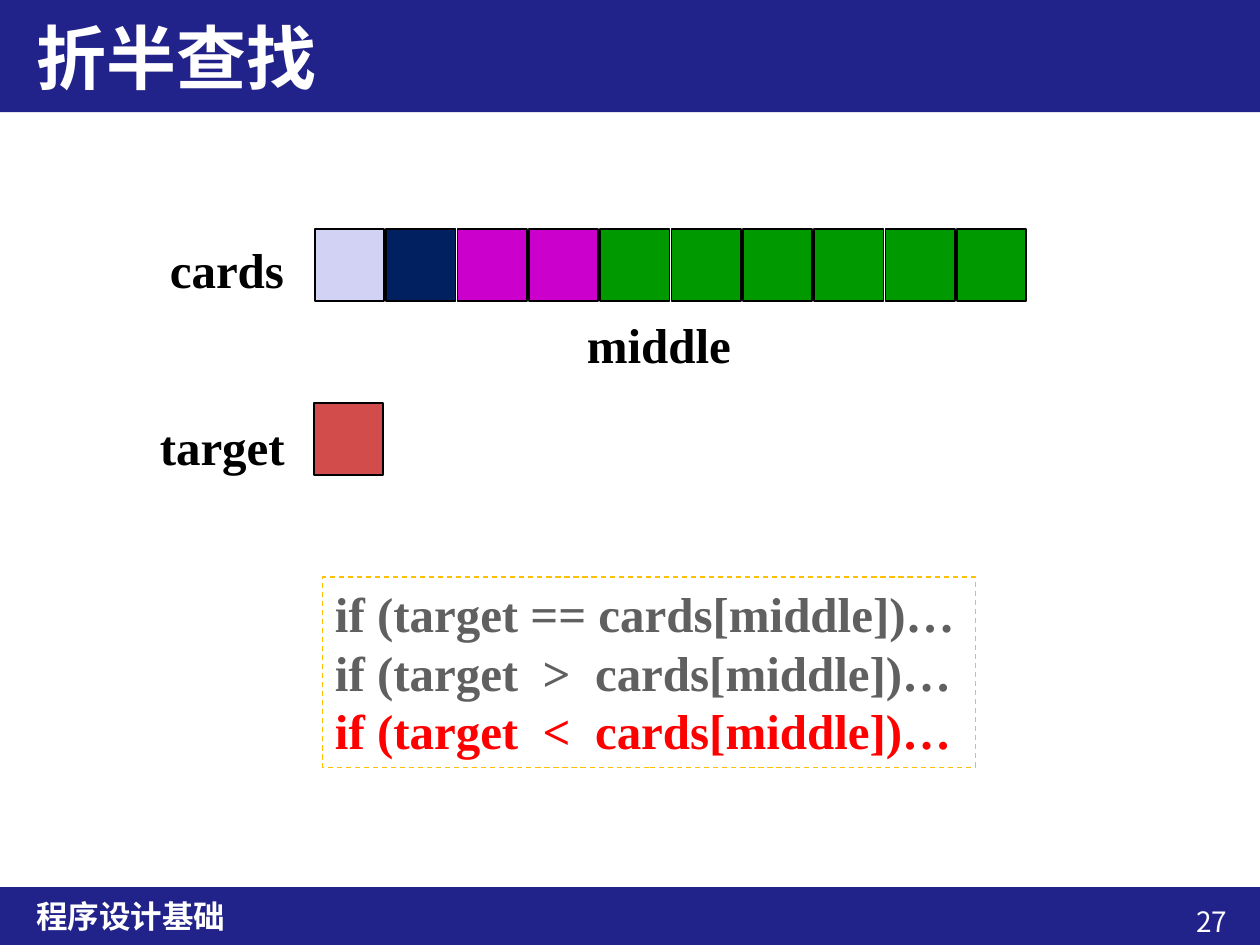
from lxml import etree
from pptx import Presentation
from pptx.dml.color import RGBColor
from pptx.enum.dml import MSO_LINE
from pptx.enum.shapes import MSO_SHAPE
from pptx.enum.text import MSO_ANCHOR, MSO_AUTO_SIZE, PP_ALIGN
from pptx.oxml.ns import qn
from pptx.util import Inches, Pt

RECTANGLE = MSO_SHAPE.RECTANGLE
DASH = MSO_LINE.DASH
TOP, MIDDLE = MSO_ANCHOR.TOP, MSO_ANCHOR.MIDDLE
LEFT, RIGHT = PP_ALIGN.LEFT, PP_ALIGN.RIGHT
FIT = MSO_AUTO_SIZE.SHAPE_TO_FIT_TEXT
SANS, SERIF = "Noto Sans CJK SC", "Times New Roman"

COLORS = {
    "bar": "22228B", "white": "FFFFFF", "black": "000000",
    "pale": "D2D2F4", "navy": "002060", "magenta": "CC00CC",
    "green": "009900", "target": "C00000", "frame": "FFC000",
    "gray": "606060", "red": "FF0000",
}
CARDS = ["pale", "navy"] + ["magenta"] * 2 + ["green"] * 6
CARD_LEFT, CARD_TOP, CARD_STEP = 2.5, 1.82, 0.566
CARD_WIDTH, CARD_HEIGHT = 0.55, 0.57


def rgb(name):
    return RGBColor.from_string(COLORS[name])


def add_rectangle(page, bounds, fill=None, line=None, weight=1, opacity=None):
    box = page.shapes.add_shape(RECTANGLE, *map(Inches, bounds))
    box.shadow.inherit = False
    if fill:
        box.fill.solid()
        box.fill.fore_color.rgb = rgb(fill)
    else:
        box.fill.background()
    if line:
        box.line.color.rgb = rgb(line)
        box.line.width = Pt(weight)
    else:
        box.line.fill.background()
    if opacity:
        color = box.fill._xPr.find(".//" + qn("a:srgbClr"))
        etree.SubElement(color, qn("a:alpha"), val=str(opacity * 1000))
    return box


def write_lines(box, lines, size, font, bold=True, anchor=TOP, align=LEFT, wrap=False):
    frame = box.text_frame
    frame.word_wrap = wrap
    frame.vertical_anchor = anchor
    if anchor == TOP:
        frame.auto_size = FIT
    for index, (text, color) in enumerate(lines):
        para = frame.add_paragraph() if index else frame.paragraphs[0]
        para.alignment = align
        span = para.add_run()
        span.text = text
        span.font.size = Pt(size)
        span.font.name = font
        span.font.bold = bold
        span.font.color.rgb = rgb(color)
        etree.SubElement(span.font._element, qn("a:ea"), typeface=font)


def add_text(page, bounds, text, color, size, font, **options):
    box = page.shapes.add_textbox(*map(Inches, bounds))
    write_lines(box, [(text, color)], size, font, **options)


def add_bars(page):
    add_rectangle(page, (-0.01, 7.04, 10.01, 0.46), "bar")
    add_text(page, (8.59, 7.13, 1.25, 0.37), "27", "white", 16, SANS,
             bold=False, align=RIGHT, wrap=True)
    add_text(page, (0.19, 7.04, 9.6, 0.46), "程序设计基础", "white", 18, SANS,
             anchor=MIDDLE, wrap=True)
    add_rectangle(page, (-0.01, 0, 10.01, 0.89), "bar")
    add_text(page, (0.19, 0, 9.6, 0.89), "折半查找", "white", 40, SANS,
             anchor=MIDDLE, wrap=True)


def add_cards(page):
    for index, color in enumerate(CARDS):
        left = CARD_LEFT + index * CARD_STEP
        add_rectangle(page, (left, CARD_TOP, CARD_WIDTH, CARD_HEIGHT), color, "black")
    add_rectangle(page, (2.49, 3.2, CARD_WIDTH, CARD_HEIGHT), "target", "black", opacity=70)
    for text, left, top, width in (("cards", 1.25, 1.85, 1.12),
                                   ("target", 1.17, 3.26, 1.2),
                                   ("middle", 4.56, 2.45, 1.36)):
        add_text(page, (left, top, width, 0.57), text, "black", 28, SERIF)


def add_conditions(page):
    box = add_rectangle(page, (2.56, 4.58, 5.18, 1.51), line="frame", weight=0.75)
    box.line.dash_style = DASH
    write_lines(box, [
        ("if (target == cards[middle])…", "gray"),
        ("if (target  >  cards[middle])…", "gray"),
        ("if (target  <  cards[middle])…", "red"),
    ], 28, SERIF)


def main():
    deck = Presentation()
    deck.slide_width, deck.slide_height = Inches(10), Inches(7.5)
    page = deck.slides.add_slide(deck.slide_layouts[6])
    add_bars(page)
    add_cards(page)
    add_conditions(page)
    deck.save("out.pptx")


main()
